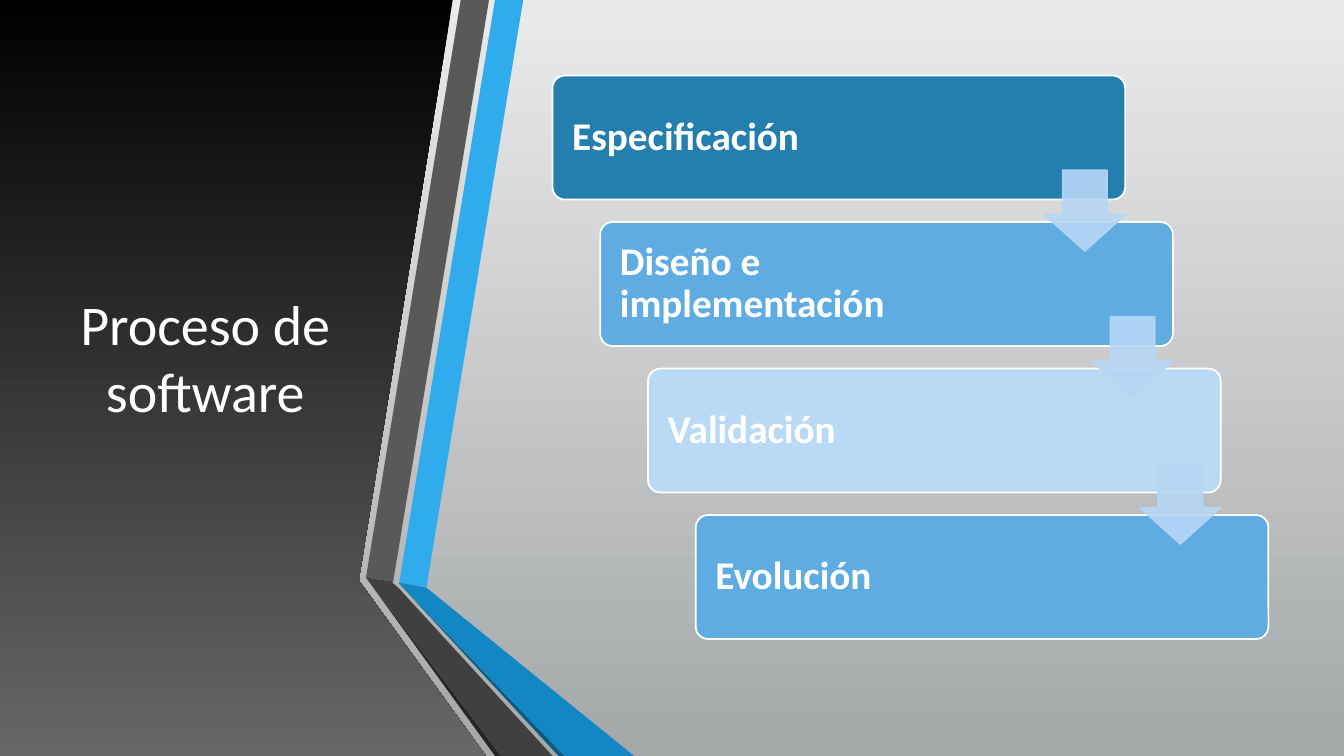
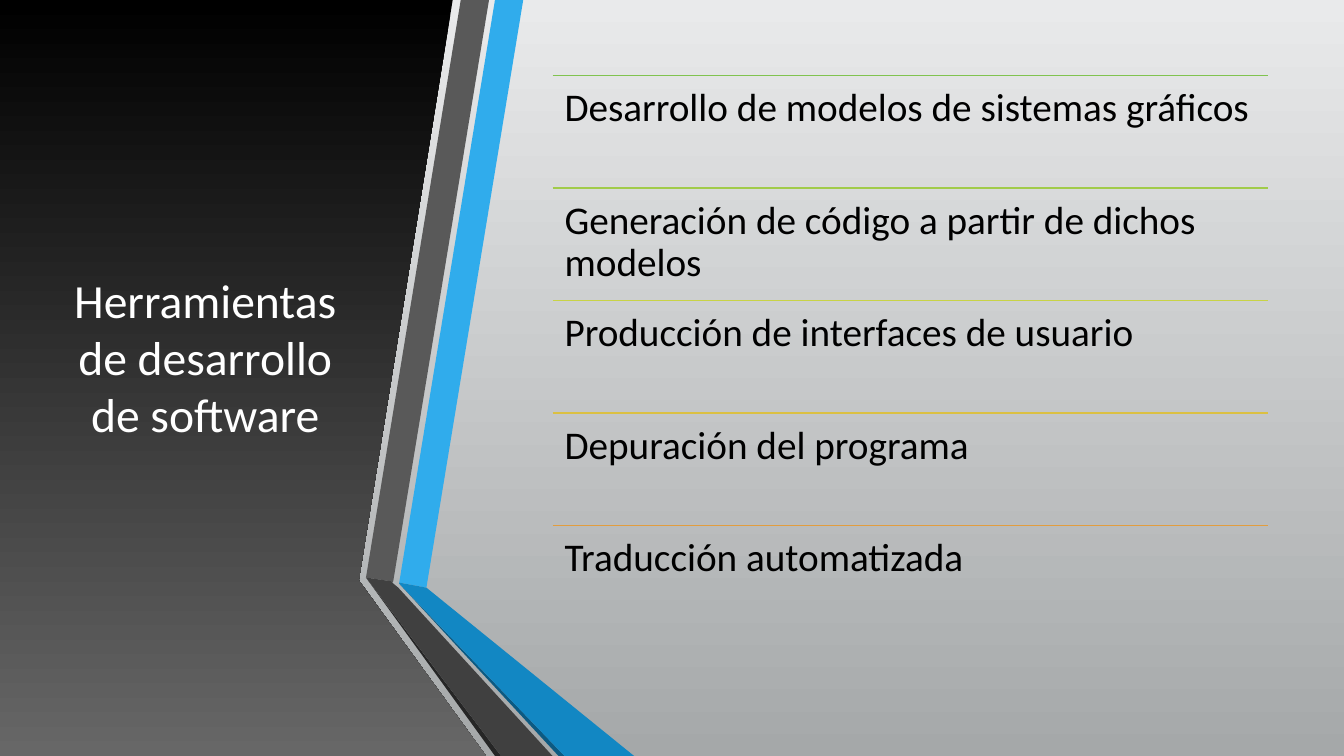
"""Build two slides on the software process and its development tools."""
import lxml.etree
import pptx
import pptx.dml.color
import pptx.enum.shapes
import pptx.enum.text
import pptx.oxml.ns
import pptx.util

Inches = pptx.util.Inches
Pt = pptx.util.Pt
RGB = pptx.dml.color.RGBColor
KIND = pptx.enum.shapes.MSO_SHAPE
ALIGN = pptx.enum.text.PP_ALIGN
ANCHOR = pptx.enum.text.MSO_ANCHOR
qn = pptx.oxml.ns.qn

FONT = "Calibri"
WHITE = RGB(0xFF, 0xFF, 0xFF)
BLACK = RGB(0, 0, 0)
LIGHT = RGB(0xE9, 0xEA, 0xEB)
SHADE = RGB(0xA5, 0xA8, 0xA9)
GREY = RGB(0x67, 0x67, 0x67)
ARROW = RGB(0xB6, 0xD7, 0xF5)
DEEP = RGB(0x24, 0x7F, 0xAF)
BLUE = RGB(0x5E, 0xAC, 0xE2)
PALE = RGB(0xBA, 0xD9, 0xF4)

PANEL = [(0, 0), (4.49, 0), (3.56, 5.75), (3.56, 5.76), (4.82, 7.5), (0, 7.5)]
BANDS = [
    (RGB(0x30, 0xAC, 0xEC), [(3.96, 5.78), (4.23, 5.83), (5.19, 0), (4.91, 0)]),
    (RGB(0x59, 0x59, 0x59), [(4.85, 0), (4.57, 0), (3.63, 5.73), (3.9, 5.77)]),
    (RGB(0x26, 0x26, 0x26), [(3.63, 5.73), (4.91, 7.5), (4.97, 7.5)]),
    (RGB(0x0C, 0x5A, 0x82), [(3.96, 5.79), (5.54, 7.5), (5.6, 7.5)]),
    (RGB(0x12, 0x87, 0xC3), [(3.96, 5.79), (5.6, 7.5), (6.29, 7.5), (4.23, 5.83), (3.96, 5.78)]),
    (RGB(0x40, 0x40, 0x40), [(5.48, 7.5), (3.95, 5.83), (3.89, 5.78), (3.9, 5.77), (3.63, 5.73), (4.97, 7.5)]),
]
TITLES = [("Proceso de software", 40), ("Herramientas de desarrollo de software", 34)]
STEPS = [("Especificación", DEEP), ("Diseño e implementación", BLUE), ("Validación", PALE), ("Evolución", BLUE)]
TOOLS = [
    ("Desarrollo de modelos de sistemas gráficos", RGB(0x80, 0xC3, 0x4F)),
    ("Generación de código a partir de dichos modelos", RGB(0xA1, 0xCB, 0x4A)),
    ("Producción de interfaces de usuario", RGB(0xC8, 0xD3, 0x46)),
    ("Depuración del programa", RGB(0xDB, 0xC0, 0x42)),
    ("Traducción automatizada", RGB(0xE2, 0x9D, 0x3E)),
]


def blend(fill, top, base):
    fill.gradient()
    fill.gradient_angle = 270
    for stop, color in zip(fill.gradient_stops, (top, base)):
        stop.color.rgb = color


def write(shape, text, size, color, anchor, align=ALIGN.LEFT, space=1.0, bold=False):
    frame = shape.text_frame
    frame.word_wrap = True
    frame.vertical_anchor = anchor
    line = frame.paragraphs[0]
    line.text = text
    line.alignment = align
    line.line_spacing = space
    line.font.name = FONT
    line.font.size = Pt(size)
    line.font.bold = bold
    line.font.color.rgb = color
    return frame


deck = pptx.Presentation()
deck.slide_width = Inches(13.33)
deck.slide_height = Inches(7.5)

for title, size in TITLES:
    slide = deck.slides.add_slide(deck.slide_layouts[6])
    blend(slide.background.fill, LIGHT, SHADE)
    for color, points in [(None, PANEL)] + BANDS:
        spots = [(Inches(x), Inches(y)) for x, y in points]
        pen = slide.shapes.build_freeform(*spots[0])
        pen.add_line_segments(spots[1:], close=True)
        band = pen.convert_to_shape()
        band.shadow.inherit = False
        band.line.fill.background()
        if color is None:
            blend(band.fill, BLACK, GREY)
        else:
            band.fill.solid()
            band.fill.fore_color.rgb = color
    box = slide.shapes.add_textbox(Inches(0.59), Inches(0.75), Inches(2.89), Inches(5.58))
    write(box, title, size, WHITE, ANCHOR.MIDDLE, ALIGN.CENTER)

first, second = deck.slides

spots = [(5.48 + 1.42 * i / 3, 0.75 + 4.36 * i / 3) for i in range(len(STEPS))]
for (left, top), (text, color) in zip(spots, STEPS):
    step = first.shapes.add_shape(KIND.ROUNDED_RECTANGLE, Inches(left), Inches(top), Inches(5.68), Inches(1.23))
    step.adjustments[0] = 0.1
    step.shadow.inherit = False
    step.fill.solid()
    step.fill.fore_color.rgb = color
    step.line.color.rgb = WHITE
    step.line.width = Pt(1.25)
    frame = write(step, text, 28, WHITE, ANCHOR.MIDDLE, space=0.9, bold=True)
    frame.margin_left = Inches(0.16)
    frame.margin_right = Inches(1.43)

for left, top in spots[:-1]:
    arrow = first.shapes.add_shape(KIND.DOWN_ARROW, Inches(left + 4.88), Inches(top + 0.94), Inches(0.8), Inches(0.8))
    arrow.adjustments[0] = 0.55
    arrow.adjustments[1] = 0.45
    arrow.shadow.inherit = False
    arrow.fill.solid()
    arrow.fill.fore_color.rgb = ARROW
    arrow.line.color.rgb = ARROW
    arrow.line.width = Pt(1.25)
    for tint in arrow.element.spPr.iter(qn("a:srgbClr")):
        lxml.etree.SubElement(tint, qn("a:alpha")).set("val", "90000")

for i, (text, color) in enumerate(TOOLS):
    left, top = Inches(5.48), Inches(0.75 + 5.58 * i / 5)
    rule = second.shapes.add_connector(pptx.enum.shapes.MSO_CONNECTOR.STRAIGHT, left, top, Inches(12.58), top)
    rule.line.color.rgb = color
    rule.line.width = Pt(1.25)
    lxml.etree.SubElement(rule.element.spPr, qn("a:effectLst"))
    box = second.shapes.add_textbox(left, top, Inches(7.1), Inches(1.12))
    frame = write(box, text, 28, BLACK, ANCHOR.TOP, space=0.9)
    frame.margin_left = frame.margin_right = Inches(0.12)
    frame.margin_top = frame.margin_bottom = Inches(0.12)

deck.save("out.pptx")
